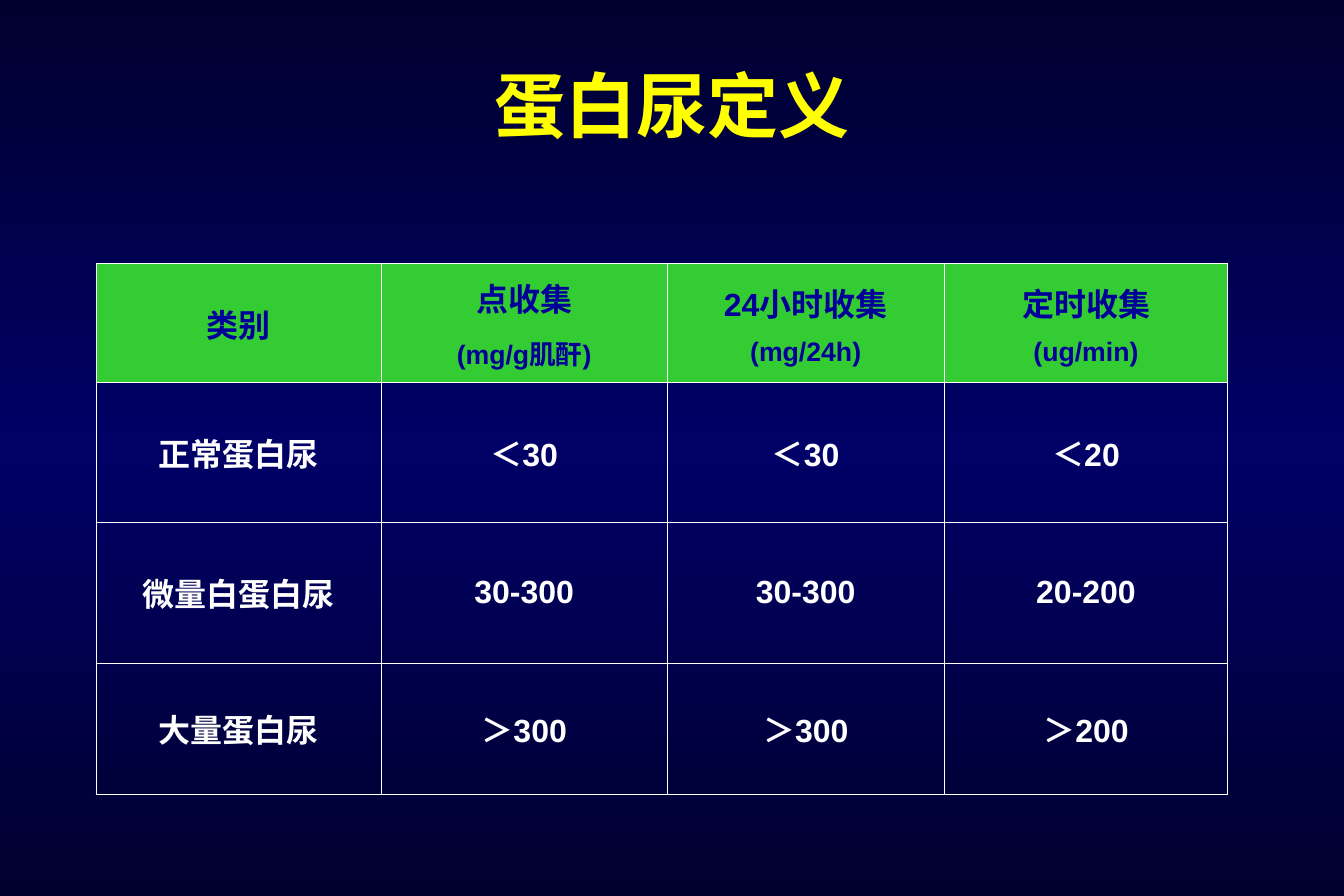
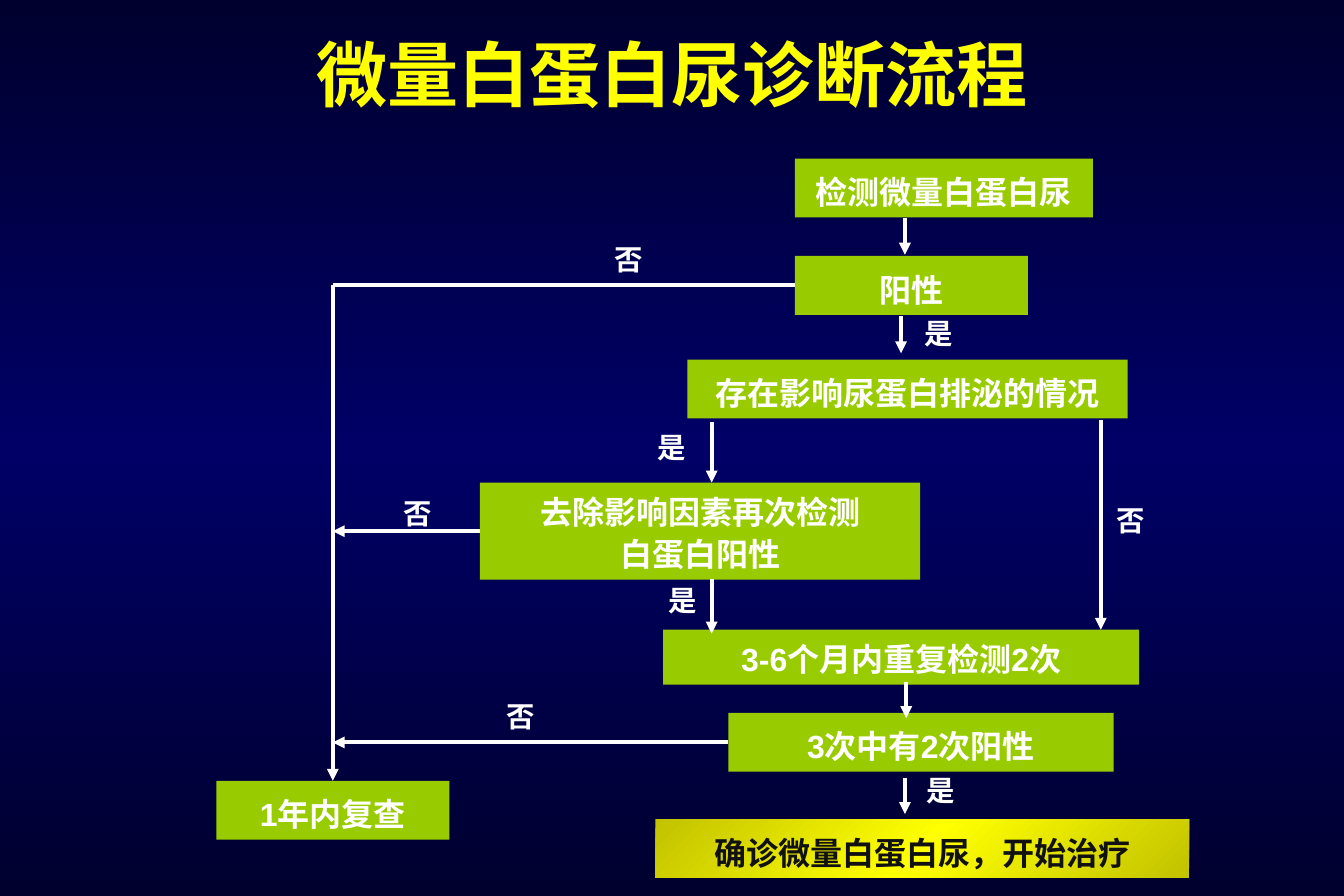
from itertools import groupby

from lxml import etree
from pptx import Presentation
from pptx.dml.color import RGBColor
from pptx.enum.shapes import MSO_CONNECTOR, MSO_SHAPE
from pptx.enum.text import MSO_ANCHOR, MSO_AUTO_SIZE, PP_ALIGN
from pptx.oxml.ns import qn
from pptx.util import Inches, Pt

COLORS = {
    "night": "00002F",
    "navy": "000066",
    "title": "FFFF00",
    "header": "33CC33",
    "header_text": "000099",
    "step": "99CC00",
    "white": "FFFFFF",
    "gold": "C2C200",
    "black": "111111",
}
LATIN, CHINESE = "Arial", "Times New Roman"

DEFINITION_TITLE = "蛋白尿定义"
DEFINITION_ROWS = [
    ["类别", "点收集\n(mg/g肌酐)", "24小时收集\n(mg/24h)", "定时收集\n(ug/min)"],
    ["正常蛋白尿", "＜30", "＜30", "＜20"],
    ["微量白蛋白尿", "30-300", "30-300", "20-200"],
    ["大量蛋白尿", "＞300", "＞300", "＞200"],
]
COLUMN_WIDTHS = [2.23, 2.23, 2.17, 2.21]
ROW_HEIGHTS = [0.93, 1.09, 1.1, 1.03]

WORKFLOW_TITLE = "微量白蛋白尿诊断流程"
STEPS = {
    "test": ("检测微量白蛋白尿", 6.21, 1.24, 2.33, 0.46, 1.2),
    "positive": ("阳性", 6.21, 2, 1.82, 0.46, 1.2),
    "factors": ("存在影响尿蛋白排泌的情况", 5.37, 2.81, 3.44, 0.46, 1.2),
    "retest": ("去除影响因素再次检测\n白蛋白阳性", 3.75, 3.77, 3.44, 0.76, 1.1),
    "repeat": ("3-6个月内重复检测2次", 5.18, 4.92, 3.72, 0.43, 1.1),
    "two_of_three": ("3次中有2次阳性", 5.69, 5.57, 3.01, 0.46, 1.2),
    "treat": ("确诊微量白蛋白尿，开始治疗", 5.12, 6.4, 4.17, 0.46, 1.2),
    "review": ("1年内复查", 1.69, 6.1, 1.82, 0.46, 1.2),
}
DOWN_ARROWS = [
    (7.07, 1.7, 1.99),
    (7.04, 2.47, 2.76),
    (5.56, 3.3, 3.77),
    (8.6, 3.28, 4.92),
    (5.56, 4.52, 4.95),
    (7.08, 5.33, 5.61),
    (7.07, 6.08, 6.36),
]
NO_BRANCHES = [("positive", False), ("retest", True), ("two_of_three", True)]
ANSWERS = [
    ("否", 4.47, 1.84),
    ("是", 6.89, 2.42),
    ("是", 4.81, 3.31),
    ("否", 8.39, 3.88),
    ("否", 2.82, 3.83),
    ("是", 4.89, 4.51),
    ("否", 3.63, 5.41),
    ("是", 6.91, 5.99),
]


def rgb(name):
    return RGBColor.from_string(COLORS[name])


def paint_gradient(fill, owner, edge, middle, angle):
    fill.gradient()
    fill.gradient_angle = 360 - angle
    stops = owner.element.find(".//" + qn("a:gsLst"))
    for stop in list(stops):
        stops.remove(stop)
    for position, name in ((0, edge), (50000, middle), (100000, edge)):
        stop = etree.SubElement(stops, qn("a:gs"), pos=str(position))
        etree.SubElement(stop, qn("a:srgbClr"), val=COLORS[name])


def format_span(span, size, color, font=LATIN):
    span.font.size = Pt(size)
    span.font.name = font
    span.font.bold = True
    span.font.color.rgb = rgb(color)


def write_text(frame, text, size, color, align=PP_ALIGN.CENTER, spacing=1.0):
    frame.word_wrap = True
    frame.auto_size = MSO_AUTO_SIZE.NONE
    frame.text = text
    for para in frame.paragraphs:
        para.alignment = align
        para.line_spacing = spacing
        for span in para.runs:
            format_span(span, size, color)


def add_titled_slide(deck, text, top):
    slide = deck.slides.add_slide(deck.slide_layouts.get_by_name("Title Only"))
    title = slide.shapes.title
    title.left, title.top = 0, Inches(top)
    title.width, title.height = deck.slide_width, Inches(0.77)
    write_text(title.text_frame, text, 40, "title")
    title.text_frame.vertical_anchor = MSO_ANCHOR.TOP
    return slide


def add_cell_borders(cell):
    properties = cell._tc.get_or_add_tcPr()
    for index, side in enumerate(("a:lnL", "a:lnR", "a:lnT", "a:lnB")):
        border = etree.Element(qn(side), w=str(Pt(0.45)))
        fill = etree.SubElement(border, qn("a:solidFill"))
        etree.SubElement(fill, qn("a:srgbClr"), val=COLORS["white"])
        properties.insert(index, border)


def write_cell(cell, text, is_header):
    cell.vertical_anchor = MSO_ANCHOR.MIDDLE
    cell.text_frame.text = text
    for index, para in enumerate(cell.text_frame.paragraphs):
        size, after = (15, 5.6) if index else (18, 6.8)
        content = para.text
        para.text = ""
        para.alignment = PP_ALIGN.CENTER
        para.space_after = Pt(after)
        for is_latin, letters in groupby(content, str.isascii):
            span = para.add_run()
            span.text = "".join(letters)
            color = "header_text" if is_header else "white"
            format_span(span, size, color, LATIN if is_latin else CHINESE)
    if is_header:
        cell.fill.solid()
        cell.fill.fore_color.rgb = rgb("header")
    else:
        cell.fill.background()
    add_cell_borders(cell)


def build_definition(deck):
    slide = add_titled_slide(deck, DEFINITION_TITLE, 0.43)
    table = slide.shapes.add_table(
        len(ROW_HEIGHTS), len(COLUMN_WIDTHS), Inches(0.75), Inches(2.06),
        Inches(sum(COLUMN_WIDTHS)), Inches(sum(ROW_HEIGHTS))).table
    table.horz_banding = False
    for column, width in zip(table.columns, COLUMN_WIDTHS):
        column.width = Inches(width)
    for row, height, texts in zip(table.rows, ROW_HEIGHTS, DEFINITION_ROWS):
        row.height = Inches(height)
        for cell, text in zip(row.cells, texts):
            write_cell(cell, text, texts is DEFINITION_ROWS[0])


def add_step(slide, name):
    text, left, top, width, height, spacing = STEPS[name]
    box = slide.shapes.add_shape(
        MSO_SHAPE.RECTANGLE, Inches(left), Inches(top), Inches(width), Inches(height))
    box.shadow.inherit = False
    box.line.fill.background()
    is_result = name == "treat"
    if is_result:
        paint_gradient(box.fill, box, "gold", "title", 45)
    else:
        box.fill.solid()
        box.fill.fore_color.rgb = rgb("step")
    write_text(box.text_frame, text, 18, "black" if is_result else "white", spacing=spacing)
    box.text_frame.vertical_anchor = MSO_ANCHOR.MIDDLE
    return box


def add_line(slide, start_x, start_y, end_x, end_y, arrow=True):
    line = slide.shapes.add_connector(MSO_CONNECTOR.STRAIGHT, start_x, start_y, end_x, end_y)
    line.line.color.rgb = rgb("white")
    line.line.width = Pt(2.25)
    if arrow:
        etree.SubElement(line.line._get_or_add_ln(), qn("a:tailEnd"), type="triangle")
    etree.SubElement(line._element.spPr, qn("a:effectLst"))
    return line


def build_workflow(deck):
    slide = add_titled_slide(deck, WORKFLOW_TITLE, 0.19)
    boxes = {name: add_step(slide, name) for name in STEPS}
    for x, start, end in DOWN_ARROWS:
        add_line(slide, Inches(x), Inches(start), Inches(x), Inches(end))

    review = boxes["review"]
    spine = review.left + review.width // 2
    for name, arrow in NO_BRANCHES:
        box = boxes[name]
        middle = box.top + box.height // 2
        branch = add_line(slide, box.left, middle, spine, middle, arrow)
        branch.begin_connect(box, 1)
    trunk = add_line(slide, spine, Inches(2.23), spine, review.top)
    trunk.end_connect(review, 0)

    for text, left, top in ANSWERS:
        label = slide.shapes.add_textbox(Inches(left), Inches(top), Inches(0.65), Inches(0.37))
        write_text(label.text_frame, text, 16, "white", PP_ALIGN.RIGHT)


def main():
    deck = Presentation()
    deck.slide_width, deck.slide_height = Inches(10.5), Inches(7)
    master = deck.slide_master
    paint_gradient(master.background.fill, master, "night", "navy", 90)
    build_definition(deck)
    build_workflow(deck)
    deck.save("out.pptx")


if __name__ == "__main__":
    main()
